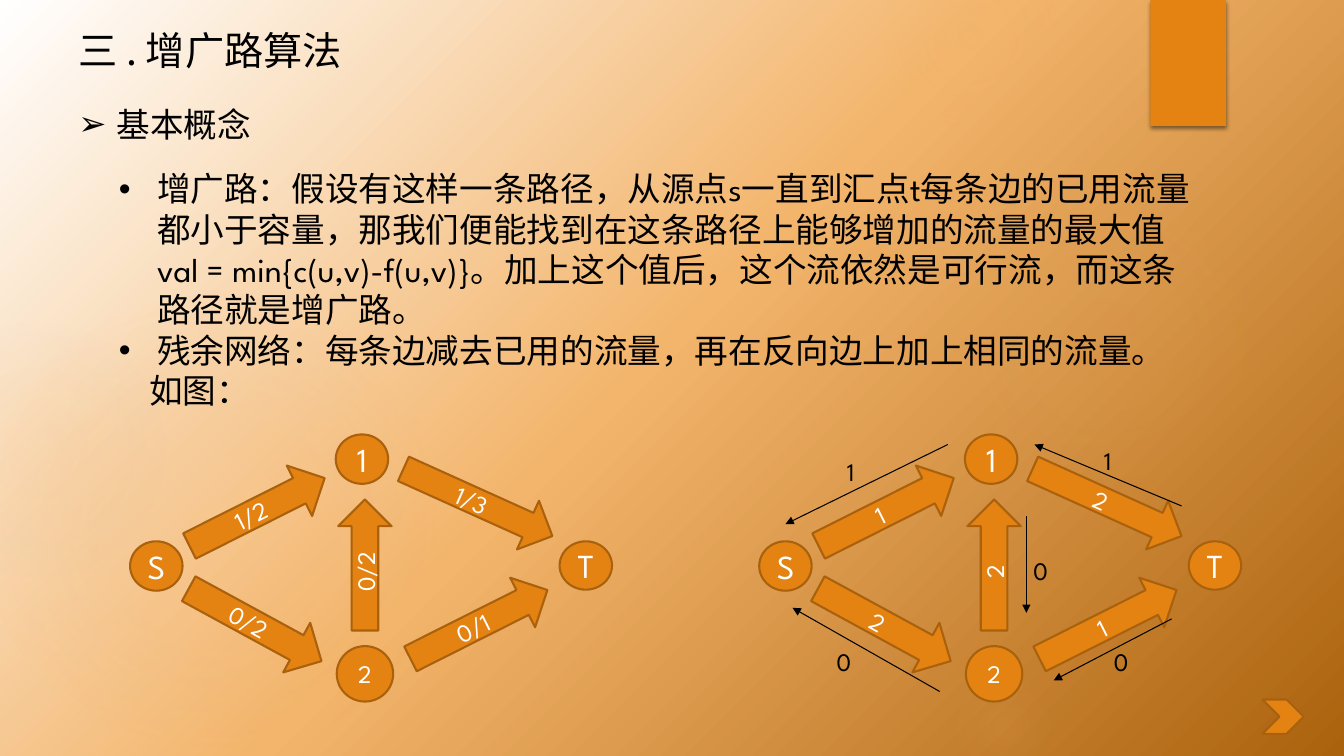
from lxml import etree
from pptx import Presentation
from pptx.dml.color import RGBColor
from pptx.enum.shapes import MSO_CONNECTOR, MSO_SHAPE
from pptx.enum.text import MSO_ANCHOR, PP_ALIGN
from pptx.oxml import parse_xml
from pptx.oxml.ns import nsdecls, qn
from pptx.util import Inches, Pt

ORANGE = RGBColor(0xE4, 0x83, 0x12)
BROWN = RGBColor(0xA9, 0x61, 0x0D)
PALE = RGBColor(0xF3, 0xB5, 0x6C)
SAGE = RGBColor(0xA2, 0xAF, 0x92)
DEEP = RGBColor(0xAB, 0x62, 0x0D)
WHITE = RGBColor(0xFF, 0xFF, 0xFF)
BLACK = RGBColor(0x00, 0x00, 0x00)
LATIN_FONT = "League Spartan"
CHINESE_FONT = "Noto Sans CJK SC"

# Glow circles: left, top, diameter, (position, colour, opacity) stops
GLOWS = [
    (-0.17, 2.92, 4.58, [(0, PALE, 11), (36, PALE, 10), (75, PALE, 0)]),
    (-0.92, 3.17, 2.58, [(0, PALE, 8), (36, PALE, 5), (71, SAGE, 0)]),
    (9.41, 1.83, 3.08, [(0, PALE, 7), (36, PALE, 6), (69, PALE, 0)]),
    (8.75, -0.5, 1.75, [(0, PALE, 14), (36, PALE, 7), (73, PALE, 0)]),
    (9.41, 6.67, 1.08, [(0, PALE, 10), (31, PALE, 5), (66, PALE, 0)]),
]
# Nodes: label, left, top, width, height, text size
NODES = [
    ("S", 1.29, 5.37, 0.52, 0.49, 24),
    ("1", 3.33, 4.31, 0.52, 0.49, 24),
    ("T", 5.55, 5.37, 0.52, 0.48, 24),
    ("2", 3.34, 6.41, 0.56, 0.55, 18),
]
# Edges: left, top, width, height, rotation
EDGES = [
    (1.8, 4.8, 1.5, 0.56, 333.3),
    (3.93, 4.72, 1.62, 0.53, 24.3),
    (1.78, 5.92, 1.5, 0.56, 28.6),
    (2.97, 5.34, 1.3, 0.53, 270),
    (3.99, 5.92, 1.52, 0.55, 333.3),
]
# Left offset of each graph and the labels of its edges
GRAPHS = [
    (0, ["1/2", "1/3", "0/2", "0/2", "0/1"]),
    (6.24, ["1", "2", "2", "2", "1"]),
]
# Reverse edges: start, end, label, label box
REVERSE_EDGES = [
    ((9.4, 4.41), (7.79, 5.2), "1", (8.3, 4.48, 0.79, 0.4)),
    ((11.72, 5.02), (10.26, 4.41), "1", (10.85, 4.37, 0.93, 0.4)),
    ((9.32, 6.86), (7.86, 6.03), "0", (8.2, 6.36, 0.89, 0.4)),
    ((11.62, 6.14), (10.45, 6.75), "0", (10.95, 6.36, 1.02, 0.4)),
    ((10.18, 5.12), (10.18, 6.08), "0", (10.15, 5.46, 0.6, 0.4)),
]
CONCEPTS = [
    "增广路：假设有这样一条路径，从源点s一直到汇点t每条边的已用流量都小于容量，"
    "那我们便能找到在这条路径上能够增加的流量的最大值 val = min{c(u,v)-f(u,v)}。"
    "加上这个值后，这个流依然是可行流，而这条路径就是增广路。",
    "残余网络：每条边减去已用的流量，再在反向边上加上相同的流量。",
]


def gradient(stops, direction):
    stop_xml = "".join(
        f'<a:gs pos="{position * 1000}"><a:srgbClr val="{color}">'
        f'<a:alpha val="{opacity * 1000}"/></a:srgbClr></a:gs>'
        for position, color, opacity in stops)
    return parse_xml(f'<a:gradFill {nsdecls("a")} rotWithShape="1">'
                     f'<a:gsLst>{stop_xml}</a:gsLst>{direction}</a:gradFill>')


def set_background(slide):
    fill = slide.background.fill
    fill.gradient()
    properties = slide.background._cSld.bg.bgPr
    stops = [(0, WHITE, 100), (48, PALE, 100), (100, DEEP, 100)]
    properties.replace(properties.find(qn("a:gradFill")),
                       gradient(stops, '<a:lin ang="2700000" scaled="0"/>'))


def add_glow(slide, left, top, diameter, stops):
    shape = add_block(slide, MSO_SHAPE.OVAL, (left, top, diameter, diameter), line=None)
    properties = shape._element.spPr
    center = '<a:path path="circle"><a:fillToRect l="50000" t="50000" r="50000" b="50000"/></a:path>'
    properties.replace(properties.find(qn("a:solidFill")), gradient(stops, center))


def add_block(slide, kind, box, line=BROWN):
    shape = slide.shapes.add_shape(kind, *map(Inches, box))
    shape.shadow.inherit = False
    shape.fill.solid()
    shape.fill.fore_color.rgb = ORANGE
    if line is None:
        shape.line.fill.background()
    else:
        shape.line.color.rgb = line
        shape.line.width = Pt(1.5)
    return shape


def add_ribbon(slide):
    shape = add_block(slide, MSO_SHAPE.RECTANGLE, (11.41, 0, 0.75, 1.25), line=None)
    effects = shape._element.spPr.find(qn("a:effectLst"))
    effects.append(parse_xml(
        f'<a:outerShdw {nsdecls("a")} blurRad="38100" dist="25400" dir="5400000" rotWithShape="0">'
        '<a:srgbClr val="000000"><a:alpha val="45000"/></a:srgbClr></a:outerShdw>'))


def write(paragraph, text, size=18, color=BLACK, font=LATIN_FONT, align=None,
          bullet=None, indent=0, spacing=None):
    properties = paragraph._p.get_or_add_pPr()
    if indent:
        properties.set("marL", str(Inches(indent)))
    if bullet:
        properties.set("indent", str(-Inches(indent)))
        etree.SubElement(properties, qn("a:buFont")).set("typeface", "Arial")
        etree.SubElement(properties, qn("a:buChar")).set("char", bullet)
    if spacing:
        paragraph.line_spacing = Pt(spacing)
    paragraph.alignment = align
    run = paragraph.add_run()
    run.text = text
    run.font.size = Pt(size)
    run.font.name = font
    run.font.color.rgb = color
    east_asian = etree.SubElement(run._r.get_or_add_rPr(), qn("a:ea"))
    east_asian.set("typeface", CHINESE_FONT)


def add_text_frame(slide, box):
    frame = slide.shapes.add_textbox(*map(Inches, box)).text_frame
    frame.word_wrap = True
    return frame


def add_label(slide, box, text, **text_format):
    write(add_text_frame(slide, box).paragraphs[0], text, **text_format)


def add_labelled_block(slide, kind, box, text, size=18, rotation=0):
    shape = add_block(slide, kind, box)
    shape.rotation = rotation
    shape.text_frame.vertical_anchor = MSO_ANCHOR.MIDDLE
    write(shape.text_frame.paragraphs[0], text, size=size, color=WHITE, align=PP_ALIGN.CENTER)


def add_graph(slide, offset, edge_labels):
    for label, left, top, width, height, size in NODES:
        add_labelled_block(slide, MSO_SHAPE.FLOWCHART_CONNECTOR,
                           (left + offset, top, width, height), label, size=size)
    for label, (left, top, width, height, rotation) in zip(edge_labels, EDGES):
        add_labelled_block(slide, MSO_SHAPE.RIGHT_ARROW,
                           (left + offset, top, width, height), label, rotation=rotation)


def add_arrow(slide, start, end):
    connector = slide.shapes.add_connector(MSO_CONNECTOR.STRAIGHT, *map(Inches, start + end))
    connector.line.color.rgb = BLACK
    connector.line.width = Pt(0.75)
    etree.SubElement(connector.line._get_or_add_ln(), qn("a:tailEnd")).set("type", "triangle")
    etree.SubElement(connector._element.spPr, qn("a:effectLst"))


def main():
    presentation = Presentation()
    presentation.slide_width = Inches(13.33)
    presentation.slide_height = Inches(7.5)
    slide = presentation.slides.add_slide(presentation.slide_layouts[6])

    # Backdrop
    set_background(slide)
    for glow in GLOWS:
        add_glow(slide, *glow)
    add_ribbon(slide)

    # Title and heading
    add_label(slide, (0.68, 0.18, 8.7, 0.57), "三 . 增广路算法",
              size=28, font=CHINESE_FONT, spacing=36)
    add_label(slide, (0.68, 0.98, 8.7, 0.5), "基本概念",
              size=24, bullet="➢", indent=0.38, spacing=28.8)

    # Graph with flows and its residual network
    for offset, edge_labels in GRAPHS:
        add_graph(slide, offset, edge_labels)
    for start, end, label, box in REVERSE_EDGES:
        add_arrow(slide, start, end)
        add_label(slide, box, label)

    # Definitions
    frame = add_text_frame(slide, (1.08, 1.62, 10.89, 2.52))
    write(frame.paragraphs[0], CONCEPTS[0], size=24, bullet="•", indent=0.38, spacing=28.8)
    write(frame.add_paragraph(), CONCEPTS[1], size=24, bullet="•", indent=0.38, spacing=28.8)
    write(frame.add_paragraph(), "如图：", size=24, indent=0.3, spacing=28.8)

    # Next mark
    add_block(slide, MSO_SHAPE.CHEVRON, (12.52, 6.94, 0.41, 0.34))

    presentation.save("out.pptx")


if __name__ == "__main__":
    main()
